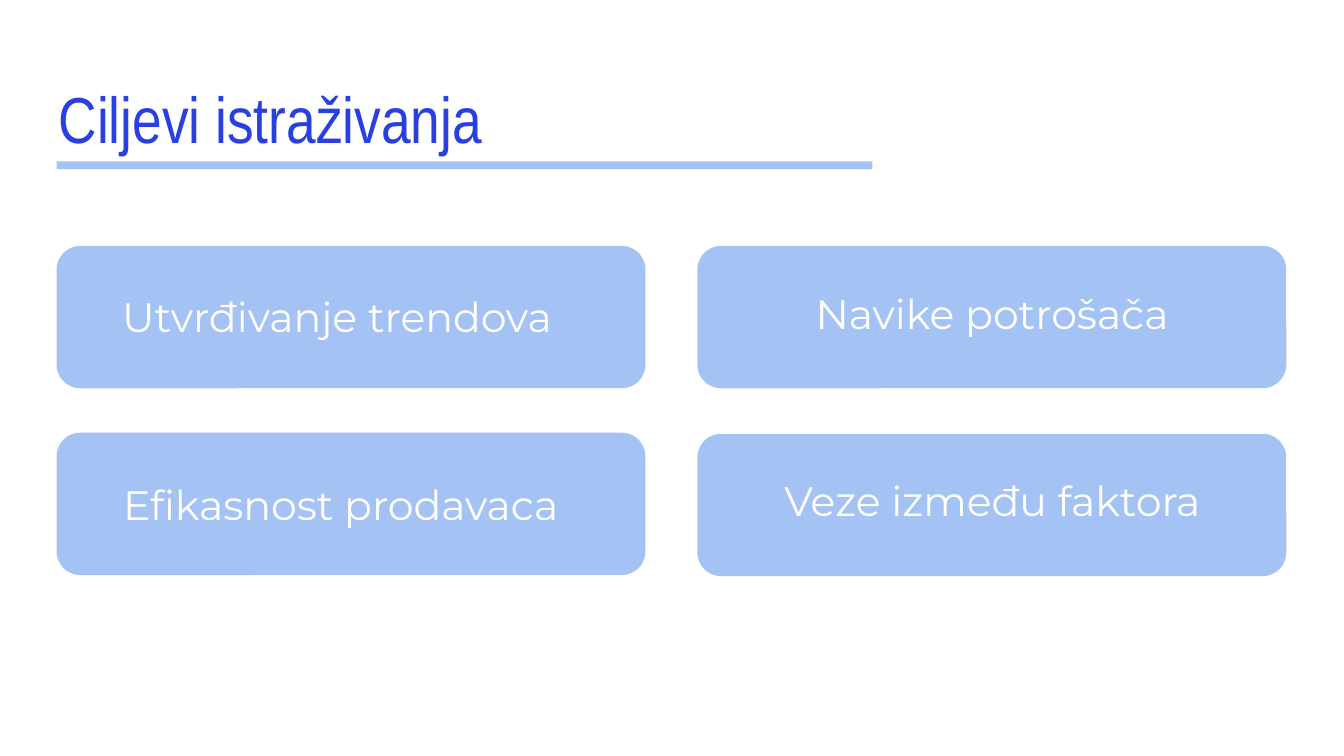
from dataclasses import dataclass

from pptx import Presentation
from pptx.dml.color import RGBColor
from pptx.enum.shapes import MSO_SHAPE as Preset
from pptx.enum.text import MSO_ANCHOR as Anchor, MSO_AUTO_SIZE as AutoSize, PP_ALIGN as Align
from pptx.util import Cm, Pt

TITLE_BLUE = RGBColor(0x28, 0x3F, 0xE1)
RULE_BLUE = RGBColor(0xA4, 0xC2, 0xF4)
CARD_BLUE = RGBColor(0xA5, 0xC2, 0xF4)
WHITE = RGBColor(0xFF, 0xFF, 0xFF)


@dataclass(frozen=True)
class Area:
    left: float
    top: float
    width: float
    height: float

    def lengths(self) -> tuple:
        return Cm(self.left), Cm(self.top), Cm(self.width), Cm(self.height)


@dataclass(frozen=True)
class Goal:
    text: str
    card: Area
    label: Area
    align: Align


LEFT, RIGHT = 1.07, 13.18
CARD_SIZE = 11.13, 2.69
GOALS = (
    Goal("Utvrđivanje trendova", Area(LEFT, 4.65, *CARD_SIZE),
         Area(2.06, 5.26, 10.41, 2.69), Align.LEFT),
    Goal("Navike potrošača", Area(RIGHT, 4.65, *CARD_SIZE),
         Area(14.66, 5.21, 8.18, 1.6), Align.CENTER),
    Goal("Efikasnost prodavaca", Area(LEFT, 8.18, *CARD_SIZE),
         Area(2.08, 8.81, 9.12, 1.4), Align.LEFT),
    Goal("Veze između faktora", Area(RIGHT, 8.2, *CARD_SIZE),
         Area(14.17, 8.74, 9.17, 1.6), Align.CENTER),
)


def write(box, text: str, font: str, size: float, color: RGBColor, align: Align) -> None:
    frame = box.text_frame
    frame.word_wrap = True
    frame.auto_size = AutoSize.NONE
    frame.vertical_anchor = Anchor.TOP
    frame.margin_left = frame.margin_right = Cm(0.25)
    frame.margin_top = frame.margin_bottom = Cm(0.25)
    frame.text = text
    para = frame.paragraphs[0]
    para.alignment = align
    para.font.name = font
    para.font.size = Pt(size)
    para.font.color.rgb = color


def add_block(page, preset: Preset, area: Area, color: RGBColor) -> None:
    block = page.shapes.add_shape(preset, *area.lengths())
    block.shadow.inherit = False
    block.fill.solid()
    block.fill.fore_color.rgb = color
    block.line.fill.background()


def add_goal(page, goal: Goal) -> None:
    add_block(page, Preset.ROUNDED_RECTANGLE, goal.card, CARD_BLUE)
    label = page.shapes.add_textbox(*goal.label.lengths())
    write(label, goal.text, "Montserrat", 22, WHITE, goal.align)


def main() -> None:
    deck = Presentation()
    deck.slide_width, deck.slide_height = Cm(25.4), Cm(14.29)
    page = deck.slides.add_slide(deck.slide_layouts[5])

    title = page.shapes.title
    title.left, title.top, title.width, title.height = Area(0.86, 1.24, 23.67, 1.6).lengths()
    write(title, "Ciljevi istraživanja", "Arial Narrow", 34.8, TITLE_BLUE, Align.LEFT)
    add_block(page, Preset.RECTANGLE, Area(LEFT, 3.05, 15.42, 0.15), RULE_BLUE)

    for goal in GOALS:
        add_goal(page, goal)

    deck.save("out.pptx")


if __name__ == "__main__":
    main()
